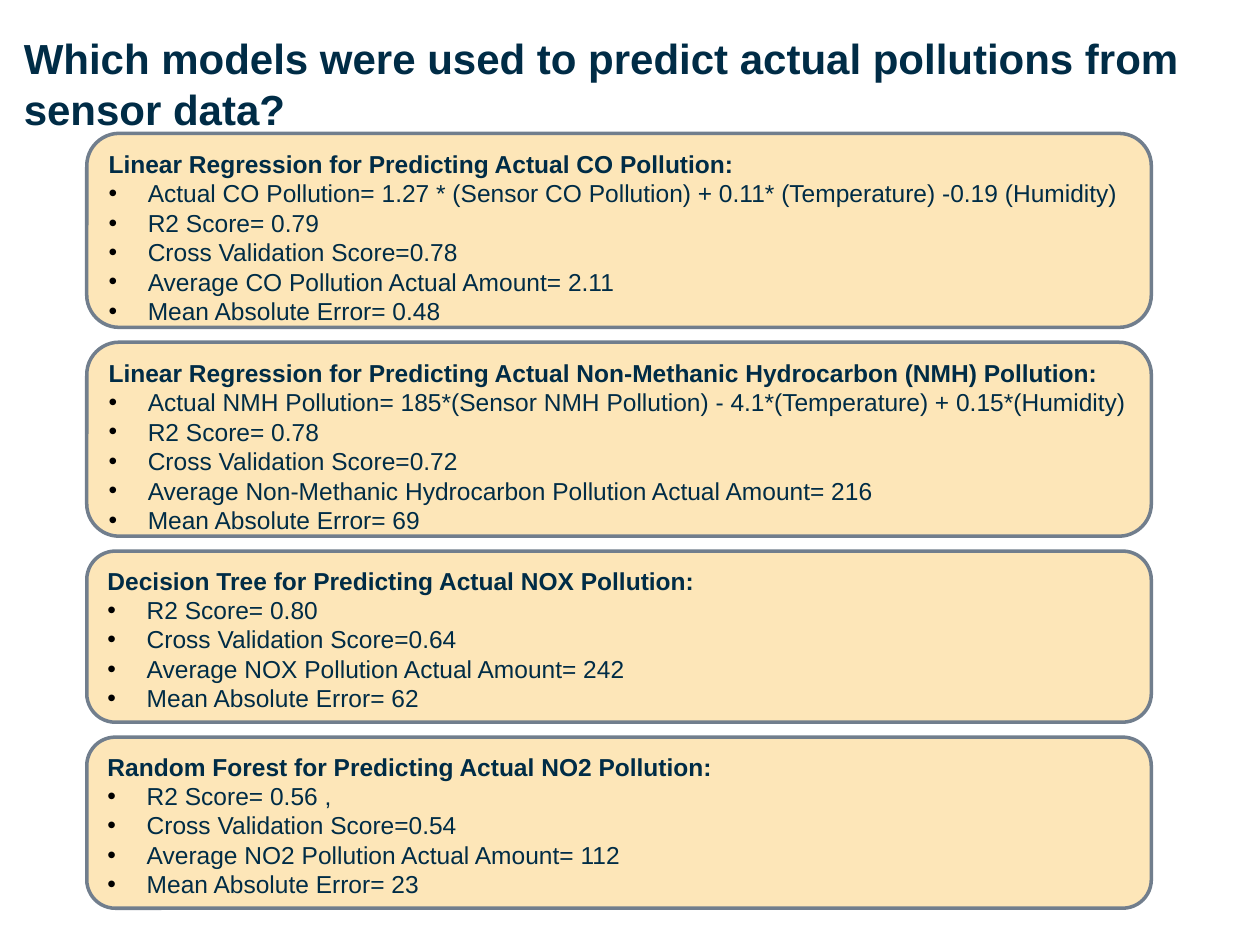
from lxml.etree import SubElement
from pptx import Presentation
from pptx.dml.color import RGBColor
from pptx.enum.shapes import MSO_SHAPE as SHAPE
from pptx.enum.text import MSO_ANCHOR as ANCHOR, MSO_AUTO_SIZE as AUTO, PP_ALIGN as ALIGN
from pptx.oxml.ns import qn
from pptx.util import Cm, Pt

COLORS = {"text": "002C46", "card": "FDE6B8", "border": "717E8D", "bullet": "000000"}
LEFT, TOP, WIDTH, GAP = 1.75, 2.69, 21.46, 0.3
TITLE = "Which models were used to predict actual pollutions from sensor data?"
MODELS = [
    (3.91, "Linear Regression for Predicting Actual CO Pollution:", [
        "Actual CO Pollution= 1.27 * (Sensor CO Pollution) + 0.11* (Temperature) -0.19 (Humidity)",
        "R2 Score= 0.79",
        "Cross Validation Score=0.78",
        "Average CO Pollution Actual Amount= 2.11",
        "Mean Absolute Error= 0.48"]),
    (3.91, "Linear Regression for Predicting Actual Non-Methanic Hydrocarbon (NMH) Pollution:", [
        "Actual NMH Pollution= 185*(Sensor NMH Pollution) - 4.1*(Temperature) + 0.15*(Humidity)",
        "R2 Score= 0.78",
        "Cross Validation Score=0.72",
        "Average Non-Methanic Hydrocarbon Pollution Actual Amount= 216",
        "Mean Absolute Error= 69"]),
    (3.45, "Decision Tree for Predicting Actual NOX Pollution:", [
        "R2 Score= 0.80",
        "Cross Validation Score=0.64",
        "Average NOX Pollution Actual Amount= 242",
        "Mean Absolute Error= 62"]),
    (3.45, "Random Forest for Predicting Actual NO2 Pollution:", [
        "R2 Score= 0.56 ,",
        "Cross Validation Score=0.54",
        "Average NO2 Pollution Actual Amount= 112",
        "Mean Absolute Error= 23"]),
]


def rgb(name):
    """Return the named colour."""
    return RGBColor.from_string(COLORS[name])


def write(p, text, size=14, bold=False):
    """Write one left-aligned run into a paragraph."""
    p.alignment = ALIGN.LEFT
    r = p.add_run()
    r.text = text
    r.font.name, r.font.size, r.font.bold = "Arial", Pt(size), bold
    r.font.color.rgb = rgb("text")


def add_bullet(p):
    """Give a paragraph a hanging round bullet."""
    pPr = p._p.get_or_add_pPr()
    pPr.set("marL", str(Cm(0.79)))
    pPr.set("indent", str(-Cm(0.79)))
    color = SubElement(pPr, qn("a:buClr"))
    SubElement(color, qn("a:srgbClr"), val=COLORS["bullet"])
    SubElement(pPr, qn("a:buFont"), typeface="Arial")
    SubElement(pPr, qn("a:buChar"), char="•")


def set_title(s, text):
    """Place and format the slide title."""
    sp = s.shapes.title
    sp.left, sp.top, sp.width, sp.height = Cm(0.48), Cm(0.66), Cm(24.43), Cm(0.84)
    tf = sp.text_frame
    tf.margin_left = tf.margin_top = tf.margin_right = tf.margin_bottom = 0
    tf.word_wrap, tf.auto_size, tf.vertical_anchor = True, AUTO.NONE, ANCHOR.TOP
    write(tf.paragraphs[0], text, size=24, bold=True)


def add_card(s, top, height, heading, facts):
    """Add a rounded card with a bold heading and bulleted facts."""
    sp = s.shapes.add_shape(SHAPE.ROUNDED_RECTANGLE, Cm(LEFT), Cm(top), Cm(WIDTH), Cm(height))
    sp.shadow.inherit = False
    sp.fill.solid()
    sp.fill.fore_color.rgb = rgb("card")
    sp.line.color.rgb = rgb("border")
    sp.line.width = Pt(2)
    tf = sp.text_frame
    tf.word_wrap, tf.vertical_anchor = True, ANCHOR.TOP
    write(tf.paragraphs[0], heading, bold=True)
    for fact in facts:
        p = tf.add_paragraph()
        write(p, fact)
        add_bullet(p)


def main():
    """Build the slide and save it."""
    prs = Presentation()
    prs.slide_width, prs.slide_height = Cm(25.4), Cm(19.05)
    s = prs.slides.add_slide(prs.slide_layouts[5])
    set_title(s, TITLE)
    top = TOP
    for height, heading, facts in MODELS:
        add_card(s, top, height, heading, facts)
        top += height + GAP
    prs.save("out.pptx")


if __name__ == "__main__":
    main()
